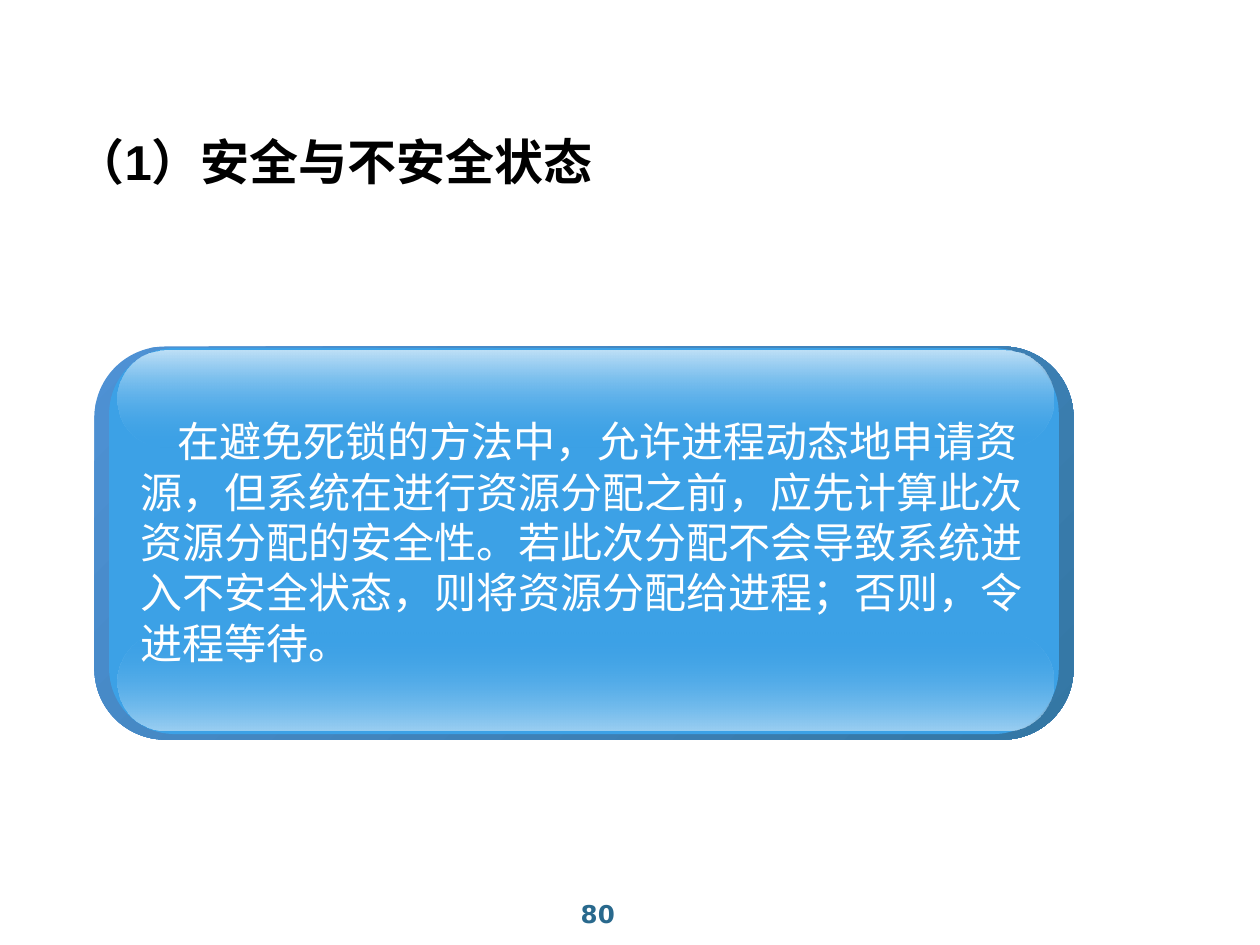
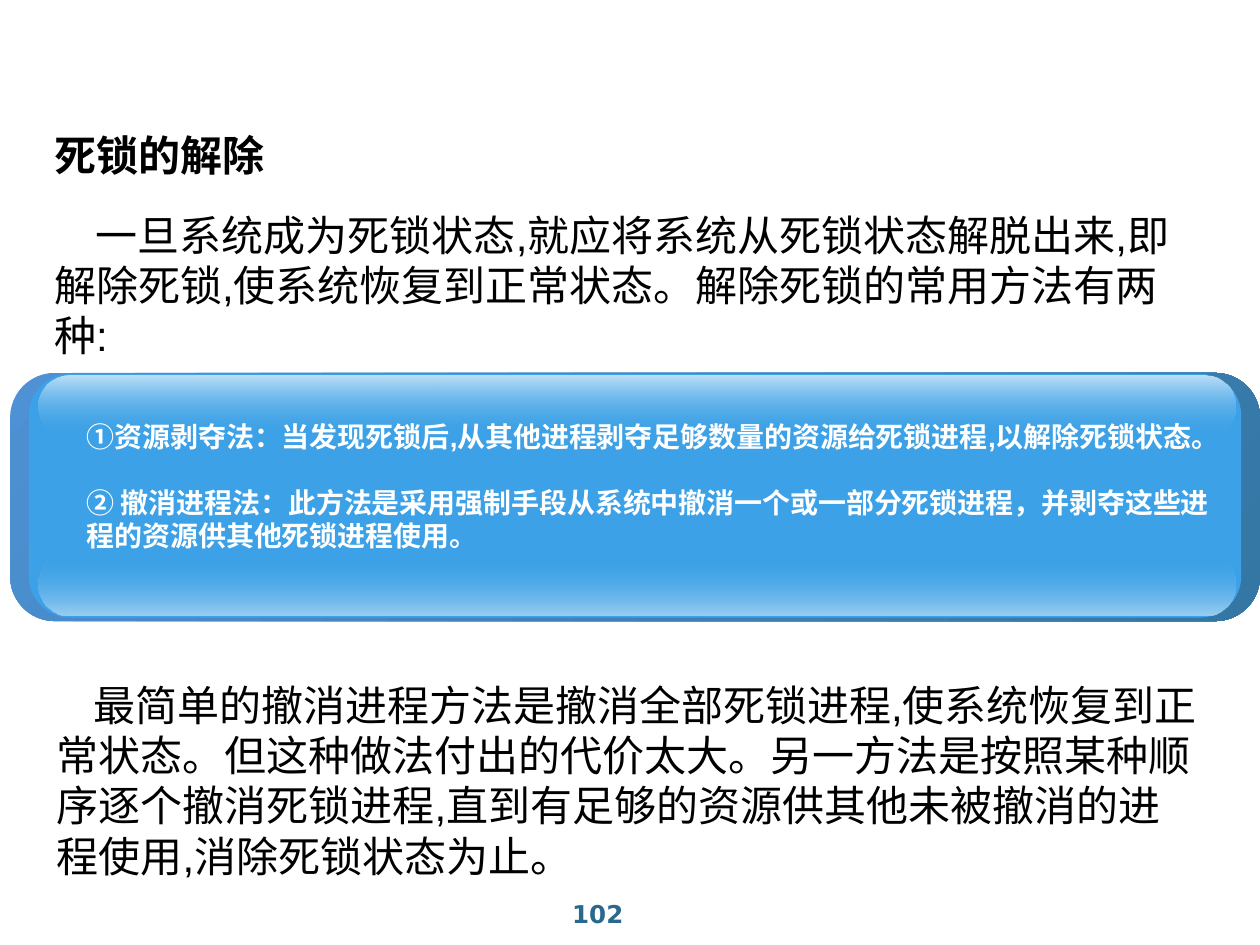
import dataclasses

import lxml.etree
import pptx
import pptx.dml.color
import pptx.enum.shapes
import pptx.enum.text
import pptx.oxml.ns
import pptx.util

Inches = pptx.util.Inches
Pt = pptx.util.Pt
qn = pptx.oxml.ns.qn


@dataclasses.dataclass(frozen=True)
class Theme:
    ink: str = "000000"
    white: str = "FFFFFF"
    page_number: str = "29698D"
    rim_light: str = "4E91D4"
    rim_dark: str = "3477A4"
    face: str = "3CA1E6"
    gloss_top: str = "BEE0F7"
    gloss_bottom: str = "9BCFF2"
    latin: str = "Arial"
    chinese: str = "Noto Sans CJK SC"
    number_font: str = "DejaVu Sans"
    heading_size: int = 28
    body_size: int = 24
    method_size: int = 16
    number_size: int = 14


THEME = Theme()
TITLE_ONLY, TITLE_AND_BODY = 5, 1


@dataclasses.dataclass(frozen=True)
class Box:
    """A rectangle in inches."""
    left: float
    top: float
    width: float
    height: float

    def inner_box(self, left, top, width, height):
        """Return the box at the given percentages of this one."""
        return Box(self.left + left * self.width / 100,
                   self.top + top * self.height / 100,
                   width * self.width / 100, height * self.height / 100)

    def lengths(self):
        return [Inches(value) for value in dataclasses.astuple(self)]


def color(value):
    return pptx.dml.color.RGBColor.from_string(value)


def place(shape, box):
    shape.left, shape.top, shape.width, shape.height = box.lengths()


def write_text(shape, lines, size, ink=THEME.ink, bold=False, font=THEME.latin,
               indent=0, gap=0, spacing=1.0,
               align=pptx.enum.text.PP_ALIGN.LEFT,
               anchor=pptx.enum.text.MSO_ANCHOR.TOP):
    """Fill a shape with unbulleted paragraphs; indent is in inches, gap in points."""
    frame = shape.text_frame
    frame.text = "\n".join(lines)
    frame.word_wrap = True
    frame.auto_size = pptx.enum.text.MSO_AUTO_SIZE.NONE
    frame.vertical_anchor = anchor
    for index, paragraph in enumerate(frame.paragraphs):
        paragraph.alignment = align
        paragraph.line_spacing = spacing
        paragraph.space_before = Pt(gap if index else 0)
        properties = paragraph._p.get_or_add_pPr()
        properties.set("marL", "0")
        properties.set("indent", str(Inches(indent)))
        lxml.etree.SubElement(properties, qn("a:buNone"))
        for run in paragraph.runs:
            run.font.name = font
            run.font.size = Pt(size)
            run.font.bold = bold
            run.font.color.rgb = color(ink)
            east_asian = lxml.etree.SubElement(run.font._element, qn("a:ea"))
            east_asian.set("typeface", THEME.chinese)


def add_text(slide, box, lines, size, **style):
    write_text(slide.shapes.add_textbox(*box.lengths()), lines, size, **style)


def add_title(slide, box, text, size, **style):
    place(slide.shapes.title, box)
    write_text(slide.shapes.title, [text], size, bold=True, **style)


def add_page_number(slide, number):
    add_text(slide, Box(3.58, 7.09, 2.33, 0.32), [str(number)], THEME.number_size,
             ink=THEME.page_number, bold=True, font=THEME.number_font,
             align=pptx.enum.text.PP_ALIGN.CENTER,
             anchor=pptx.enum.text.MSO_ANCHOR.MIDDLE)


def add_rounded(shapes, box, corner, colors, clockwise=0, clear_stop=None):
    """Add a rounded rectangle in one colour or a gradient of two."""
    shape = shapes.add_shape(
        pptx.enum.shapes.MSO_SHAPE.ROUNDED_RECTANGLE, *box.lengths())
    shape.adjustments[0] = corner
    shape.shadow.inherit = False
    shape.line.fill.background()
    if len(colors) == 1:
        shape.fill.solid()
        shape.fill.fore_color.rgb = color(colors[0])
        return
    shape.fill.gradient()
    shape.fill.gradient_angle = 360 - clockwise
    for stop, value in zip(shape.fill.gradient_stops, colors):
        stop.color.rgb = color(value)
    if clear_stop is not None:
        stop_colors = list(shape.element.spPr.iter(qn("a:srgbClr")))
        lxml.etree.SubElement(stop_colors[clear_stop], qn("a:alpha")).set("val", "0")


def add_glossy_panel(slide, box):
    shapes = slide.shapes.add_group_shape().shapes
    add_rounded(shapes, box, 0.18, [THEME.rim_light, THEME.rim_dark], 45)
    add_rounded(shapes, box.inner_box(1.5, 0.4, 97, 98.2), 0.17, [THEME.face])
    add_rounded(shapes, box.inner_box(2.3, 72.7, 95.7, 24.9), 0.5,
                [THEME.face, THEME.gloss_bottom], 90, clear_stop=0)
    add_rounded(shapes, box.inner_box(2.3, 1, 95.7, 24.8), 0.5,
                [THEME.gloss_top, THEME.face], 90, clear_stop=1)


def add_safety_slide(presentation):
    slide = presentation.slides.add_slide(presentation.slide_layouts[TITLE_ONLY])
    add_page_number(slide, 80)
    add_title(slide, Box(0.5, 1.05, 9.17, 0.6), "（1）安全与不安全状态",
              THEME.heading_size, spacing=0.9)
    add_glossy_panel(slide, Box(0.75, 2.75, 7.77, 3.12))
    add_text(slide, Box(1.02, 3.25, 7.39, 2.1), [
        "在避免死锁的方法中，允许进程动态地申请资源，但系统在进行资源分配之前，"
        "应先计算此次资源分配的安全性。若此次分配不会导致系统进入不安全状态，"
        "则将资源分配给进程；否则，令进程等待。"],
        THEME.body_size, ink=THEME.white, font=THEME.chinese, indent=0.29)


def add_recovery_slide(presentation):
    slide = presentation.slides.add_slide(presentation.slide_layouts[TITLE_AND_BODY])
    add_page_number(slide, 102)
    add_title(slide, Box(0.33, 0.9, 9.25, 0.6), "死锁的解除",
              THEME.body_size, font=THEME.chinese, spacing=1.2)
    introduction = slide.placeholders[1]
    place(introduction, Box(0.33, 1.61, 9.25, 1.32))
    write_text(introduction, [
        "一旦系统成为死锁状态,就应将系统从死锁状态解脱出来,即解除死锁,"
        "使系统恢复到正常状态。解除死锁的常用方法有两种:"],
        THEME.body_size, indent=0.33)
    add_glossy_panel(slide, Box(0.08, 2.96, 9.92, 1.97))
    add_text(slide, Box(0.59, 3.28, 9.14, 1.4), [
        "①资源剥夺法：当发现死锁后,从其他进程剥夺足够数量的资源给死锁进程,"
        "以解除死锁状态。",
        "② 撤消进程法：此方法是采用强制手段从系统中撤消一个或一部分死锁进程，"
        "并剥夺这些进程的资源供其他死锁进程使用。"],
        THEME.method_size, ink=THEME.white, bold=True, gap=18.5)
    add_text(slide, Box(0.35, 5.34, 9.25, 1.72), [
        "最简单的撤消进程方法是撤消全部死锁进程,使系统恢复到正常状态。"
        "但这种做法付出的代价太大。另一方法是按照某种顺序逐个撤消死锁进程,"
        "直到有足够的资源供其他未被撤消的进程使用,消除死锁状态为止。"],
        THEME.body_size, indent=0.29)


def main():
    presentation = pptx.Presentation()
    presentation.slide_width = Inches(10)
    presentation.slide_height = Inches(7.5)
    add_safety_slide(presentation)
    add_recovery_slide(presentation)
    presentation.save("out.pptx")


if __name__ == "__main__":
    main()
